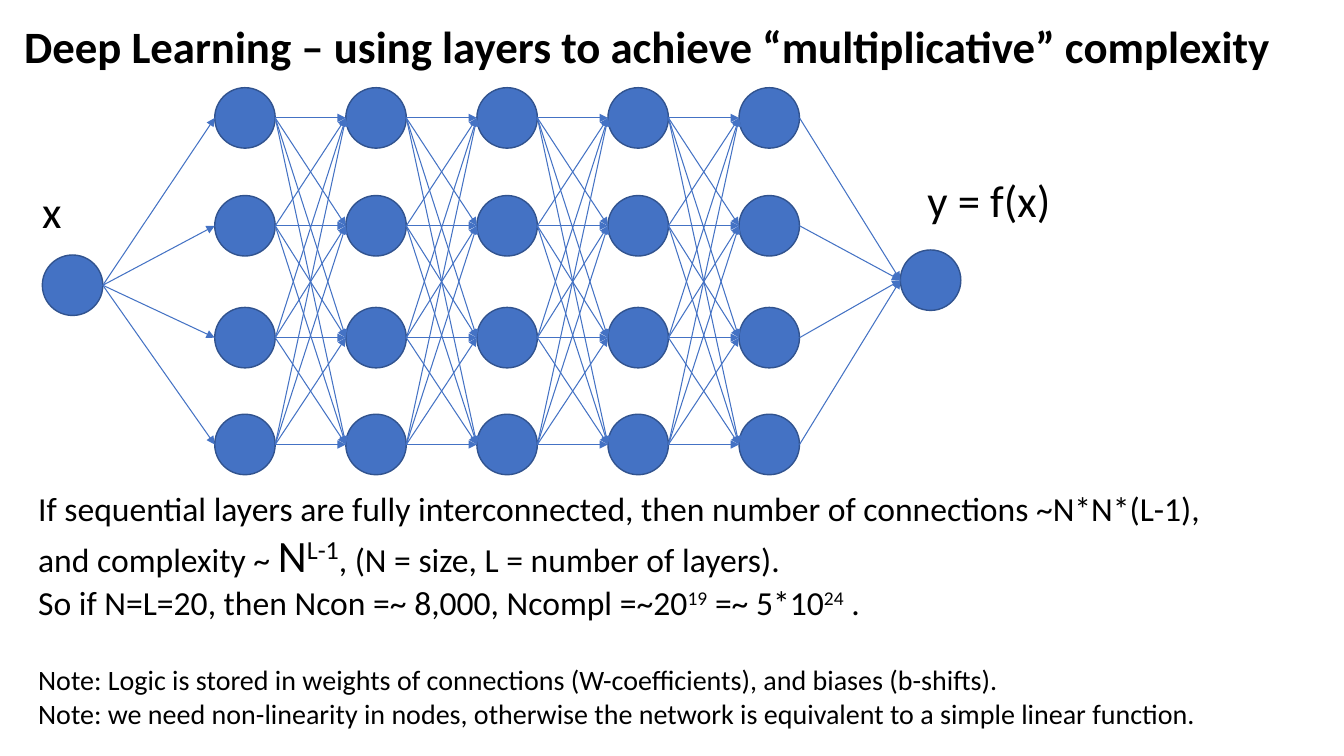
from dataclasses import dataclass
from itertools import pairwise, product

from lxml.etree import SubElement
from pptx import Presentation
from pptx.dml.color import RGBColor
from pptx.enum.shapes import MSO_CONNECTOR, MSO_SHAPE
from pptx.oxml.ns import qn
from pptx.util import Inches, Pt


@dataclass(frozen=True)
class Theme:
    """Colours, font and type sizes of the slide."""
    font: str = "Calibri"
    text: RGBColor = RGBColor(0x00, 0x00, 0x00)
    node: RGBColor = RGBColor(0x44, 0x72, 0xC4)
    outline: RGBColor = RGBColor(0x31, 0x53, 0x8F)
    large: int = 32
    body: int = 24
    note: int = 20


THEME = Theme()
NODE_SIZE = 0.6
LAYER_COUNT = 5
LAYER_PITCH = 1.3
LAYER_LEFT = 1.71
ROW_TOPS = (0, 1.07, 2.18, 3.24)
INPUT_TOP = 1.66
OUTPUT_LEFT = 8.51
OUTPUT_TOP = 1.61


def add_text(slide, box, paragraphs, size=THEME.large, bold=False, wrap=False, gap=0):
    """Add paragraphs made of lines, each line a list of (text, format) runs."""
    frame = slide.shapes.add_textbox(*map(Inches, box)).text_frame
    frame.word_wrap = wrap
    for index, lines in enumerate(paragraphs):
        paragraph = frame.add_paragraph() if index else frame.paragraphs[0]
        if index:
            paragraph.space_before = Pt(gap)
        for line_number, runs in enumerate(lines):
            if line_number:
                paragraph.add_line_break()
            for text, form in runs:
                run = paragraph.add_run()
                run.text = text
                run.font.name = THEME.font
                run.font.size = Pt(form.get("size", size))
                run.font.bold = bold
                run.font.color.rgb = THEME.text
                if form.get("superscript"):
                    run.font._element.set("baseline", "30000")


def add_node(slide, left, top):
    """Add one network node and return it."""
    node = slide.shapes.add_shape(
        MSO_SHAPE.OVAL, Inches(left), Inches(top), Inches(NODE_SIZE), Inches(NODE_SIZE))
    node.shadow.inherit = False
    node.fill.solid()
    node.fill.fore_color.rgb = THEME.node
    node.line.color.rgb = THEME.outline
    node.line.width = Pt(1)
    return node


def add_arrow(slide, source, target):
    """Draw an arrow from the right of one node to the left of the next."""
    arrow = slide.shapes.add_connector(
        MSO_CONNECTOR.STRAIGHT,
        source.left + source.width, source.top + source.height // 2,
        target.left, target.top + target.height // 2)
    arrow.line.color.rgb = THEME.node
    arrow.line.width = Pt(0.75)
    properties = arrow._element.spPr
    SubElement(properties.find(qn("a:ln")), qn("a:tailEnd"), type="triangle")
    SubElement(properties, qn("a:effectLst"))


def add_title(slide, box):
    """Add the slide heading."""
    heading = "Deep Learning – using layers to achieve “multiplicative” complexity"
    add_text(slide, box, [[[(heading, {})]]], bold=True)


def add_network(slide, box):
    """Draw the fully connected network with its input and output labels."""
    left, top, width, height = box
    hidden = [
        [add_node(slide, left + LAYER_LEFT + column * LAYER_PITCH, top + row)
         for row in ROW_TOPS]
        for column in range(LAYER_COUNT)]
    entry = [add_node(slide, left, top + INPUT_TOP)]
    result = [add_node(slide, left + OUTPUT_LEFT, top + OUTPUT_TOP)]
    for sources, targets in pairwise([entry, *hidden, result]):
        for source, target in product(sources, targets):
            add_arrow(slide, source, target)
    add_text(slide, (left - 0.1, top + 0.9, 0.42, 0.64), [[[("x", {})]]])
    add_text(slide, (left + width - 1.63, top + 0.79, 1.63, 0.64),
             [[[("y = f(x)", {})]]])


def add_explanation(slide, box):
    """Add the complexity estimate and the two notes."""
    raised = {"superscript": True}
    note = {"size": THEME.note}
    estimate = [
        [("If sequential layers are fully interconnected, "
          "then number of connections ~N*N*(L-1),", {})],
        [("and complexity ~ ", {}), ("N", {"size": THEME.large}),
         ("L-1", {"size": THEME.large, "superscript": True}),
         (", (N = size, L = number of layers).", {})],
        [("So if N=L=20, then Ncon =~ 8,000, Ncompl =~20", {}), ("19", raised),
         (" =~ 5*10", {}), ("24", raised), (" .", {})]]
    notes = [
        [("Note: Logic is stored in weights of connections (W-coefficients), "
          "and biases (b-shifts).", note)],
        [("Note: we need non-linearity in nodes, otherwise the network is "
          "equivalent to a simple linear function.", note)]]
    add_text(slide, box, [estimate, notes], size=THEME.body, wrap=True, gap=29)


def main():
    """Build and save the presentation."""
    presentation = Presentation()
    presentation.slide_width = Inches(13.33)
    presentation.slide_height = Inches(7.5)
    slide = presentation.slides.add_slide(presentation.slide_layouts[6])
    add_title(slide, (0.14, 0.14, 12.67, 0.64))
    add_network(slide, (0.42, 0.87, 10.31, 3.84))
    add_explanation(slide, (0.28, 4.79, 12.91, 2.52))
    presentation.save("out.pptx")


if __name__ == "__main__":
    main()
